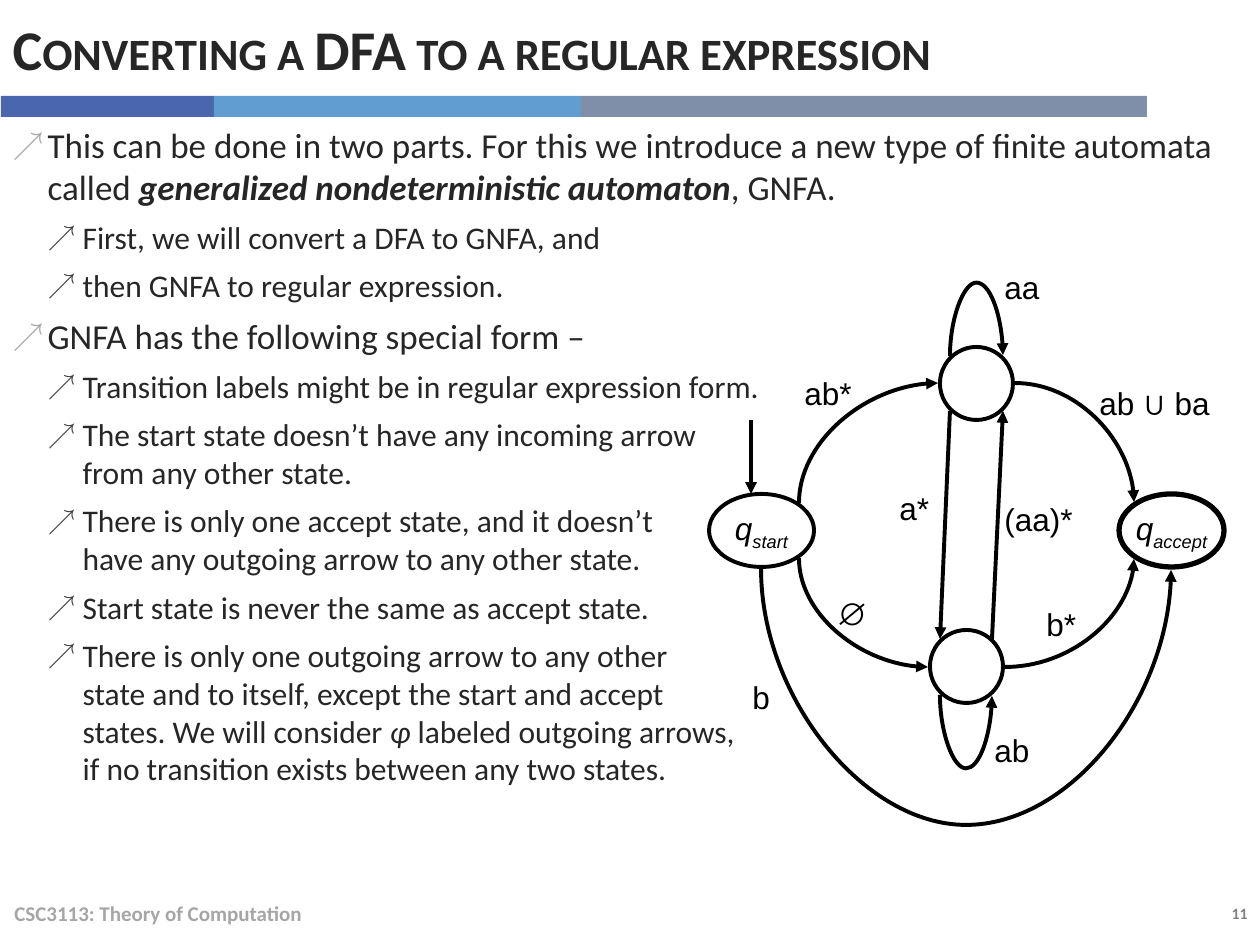
from dataclasses import dataclass

from lxml import etree
from pptx import Presentation
from pptx.dml.color import RGBColor
from pptx.enum.shapes import MSO_CONNECTOR, MSO_SHAPE
from pptx.enum.text import MSO_ANCHOR, MSO_AUTO_SIZE, PP_ALIGN
from pptx.oxml.ns import qn
from pptx.util import Emu, Pt

RECT, OVAL = MSO_SHAPE.RECTANGLE, MSO_SHAPE.OVAL
STRAIGHT, CURVE = MSO_CONNECTOR.STRAIGHT, MSO_CONNECTOR.CURVE
LEFT, CENTER, RIGHT = PP_ALIGN.LEFT, PP_ALIGN.CENTER, PP_ALIGN.RIGHT
TOP, MIDDLE = MSO_ANCHOR.TOP, MSO_ANCHOR.MIDDLE


@dataclass(frozen=True)
class Theme:
    body_font: str = "Calibri"
    diagram_font: str = "Arial"
    text: str = "262626"
    ink: str = "000000"
    footer: str = "A6A6A6"
    number: str = "808080"
    bars: tuple = ("4A66AC", "629DD1", "7F8FA9")
    bullets: tuple = ("A6A6A6", "404040")
    list_sizes: tuple = (20, 18)
    title_size: int = 32
    label_size: int = 18
    footer_size: int = 12
    number_size: int = 9
    line: float = 2.25
    accept_line: float = 3


def px(n):
    return Emu(round(n * 914400 / 126))


def add(parent, tag, **attrs):
    return etree.SubElement(parent, qn(tag), attrs)


class SlideBuilder:
    def __init__(self, prs, theme):
        self.theme = theme
        self.slide = prs.slides.add_slide(prs.slide_layouts[1])
        self.shapes = self.slide.shapes

    def style(self, p, size, color, font, bold=False, italic=False):
        for r in p.runs:
            f = r.font
            f.size, f.name, f.bold, f.italic = Pt(size), font, bold, italic
            f.color.rgb = RGBColor.from_string(color)

    def place(self, sp, box, anchor):
        sp.left, sp.top, sp.width, sp.height = map(px, box)
        tf = sp.text_frame
        tf.word_wrap, tf.auto_size = True, MSO_AUTO_SIZE.NONE
        tf.vertical_anchor = anchor
        return tf

    def title(self, text, box):
        t = self.theme
        tf = self.place(self.shapes.title, box, MIDDLE)
        tf.text = text
        p = tf.paragraphs[0]
        p.alignment = LEFT
        self.style(p, t.title_size, t.text, t.body_font, bold=True)
        p.runs[0].font._element.set("cap", "small")

    def bullets(self, items, box):
        """Each item is (level, text); *word* is italic and **word** bold italic."""
        t = self.theme
        tf = self.place(self.slide.placeholders[1], box, TOP)
        for i, (level, parts) in enumerate(items):
            p = tf.add_paragraph() if i else tf.paragraphs[0]
            p.level, p.space_before = level, Pt(6)
            pPr = p._p.get_or_add_pPr()
            pPr.set("marL", str(px(35 * (level + 1))))
            pPr.set("indent", str(-px(35)))
            add(add(pPr, "a:buClr"), "a:srgbClr", val=t.bullets[level])
            add(pPr, "a:buSzPct", val="90000")
            add(pPr, "a:buFont", typeface=t.diagram_font)
            add(pPr, "a:buChar", char="↗")
            p.text = "".join(parts).replace("\n", "\v")
            self.style(p, t.list_sizes[level], t.text, t.body_font)
            # The second of three parts is the emphasised one
            if len(parts) == 3:
                self.emphasise(p, parts, bold=level == 0)

    def emphasise(self, p, parts, bold):
        before, marked, after = parts
        p.text = before.replace("\n", "\v")
        first = len(p.runs)
        p.add_run().text = marked
        for i, line in enumerate(after.split("\n")):
            if i:
                p.add_line_break()
            p.add_run().text = line
        t = self.theme
        self.style(p, t.list_sizes[p.level], t.text, t.body_font)
        p.runs[first].font.italic = True
        p.runs[first].font.bold = bold

    def text(self, text, box, size, color, font, bold=False, align=LEFT, anchor=TOP):
        tf = self.place(self.shapes.add_textbox(0, 0, 0, 0), box, anchor)
        tf.text = text
        p = tf.paragraphs[0]
        p.alignment = align
        self.style(p, size, color, font, bold)

    def label(self, text, x, y, w=73):
        t = self.theme
        self.text(text, (x, y, w, 50), t.label_size, t.ink, t.diagram_font)

    def bar(self, x, y, w, h, color):
        sp = self.shapes.add_shape(RECT, *map(px, (x, y, w, h)))
        sp.shadow.inherit = False
        sp.fill.solid()
        sp.fill.fore_color.rgb = RGBColor.from_string(color)
        sp.line.fill.background()

    def state(self, x, y, w, name="", line=None):
        t = self.theme
        sp = self.shapes.add_shape(OVAL, *map(px, (x, y, w, 73)))
        sp.shadow.inherit = False
        sp.fill.background()
        sp.line.color.rgb = RGBColor.from_string(t.ink)
        sp.line.width = Pt(line or t.line)
        if name:
            tf = sp.text_frame
            tf.word_wrap, tf.vertical_anchor = False, MIDDLE
            p = tf.paragraphs[0]
            p.alignment = CENTER
            for part in ("q", name):
                p.add_run().text = part
            self.style(p, t.label_size, t.ink, t.diagram_font, italic=True)
            p.runs[1].font._element.set("baseline", "-25000")

    def arrow(self, x1, y1, x2, y2, kind=STRAIGHT):
        c = self.shapes.add_connector(kind, *map(px, (x1, y1, x2, y2)))
        c.line.color.rgb = RGBColor.from_string(self.theme.ink)
        c.line.width = Pt(self.theme.line)
        add(c.line._get_or_add_ln(), "a:tailEnd", type="triangle")
        add(c._element.spPr, "a:effectLst")
        return c

    def bend(self, x1, y1, x2, y2, upright=False):
        """Quarter turn that leaves sideways, or vertically when upright."""
        c = self.arrow(x1, y1, x2, y2, CURVE)
        c._element.spPr.find(qn("a:prstGeom")).set("prst", "curvedConnector2")
        if upright:
            self.turn(c, x1, y1, x2, y2, down=y2 > y1)

    def loop(self, x1, x2, y, depth):
        """Curve from x1 to x2 that swings down by depth, or up if negative."""
        step = 1 if depth > 0 else -1
        c = self.arrow(x1, y, x2, y + step, CURVE)
        self.turn(c, x1, y, x2, y + step, down=depth > 0)
        guides = c._element.spPr.find(qn("a:prstGeom")).get_or_add_avLst()
        add(guides, "a:gd", name="adj1", fmla=f"val {abs(depth) * 100000}")

    def turn(self, c, x1, y1, x2, y2, down):
        w, h = abs(y2 - y1), abs(x2 - x1)
        c.left, c.top = px((x1 + x2 - w) / 2), px((y1 + y2 - h) / 2)
        c.width, c.height = px(w), px(h)
        xfrm = c._element.spPr.find(qn("a:xfrm"))
        xfrm.set("rot", "16200000")
        xfrm.set("flipH", "1" if down else "0")
        xfrm.set("flipV", "0")


def main():
    prs = Presentation()
    prs.slide_width, prs.slide_height = px(1260), px(945)
    t = Theme()
    s = SlideBuilder(prs, t)

    # Title, colour band and footer
    s.title("Converting a DFA to a regular expression", (0, 0, 1147, 96))
    x = 1
    for width, color in zip((213, 367, 566), t.bars):
        s.bar(x, 96, width, 21, color)
        x += width
    s.text("CSC3113: Theory of Computation", (2, 888, 844, 50), t.footer_size,
           t.footer, t.body_font, bold=True, anchor=MIDDLE)
    s.text("11", (1100, 898, 160, 32), t.number_size, t.number, t.body_font,
           bold=True, align=RIGHT)

    # Explanation
    s.bullets([
        (0, ["This can be done in two parts. For this we introduce a new type of finite automata called ",
             "generalized nondeterministic automaton", ", GNFA."]),
        (1, ["First, we will convert a DFA to GNFA, and"]),
        (1, ["then GNFA to regular expression."]),
        (0, ["GNFA has the following special form –"]),
        (1, ["Transition labels might be in regular expression form."]),
        (1, ["The start state doesn’t have any incoming arrow \nfrom any other state."]),
        (1, ["There is only one accept state, and it doesn’t \nhave any outgoing arrow to any other state."]),
        (1, ["Start state is never the same as accept state."]),
        (1, ["There is only one outgoing arrow to any other \nstate and to itself, except the start and accept \nstates. We will consider ",
             "φ ", "labeled outgoing arrows, \nif no transition exists between any two states."]),
    ], (0, 117, 1259, 770))

    # States
    s.state(940, 347, 73)
    s.state(930, 630, 73)
    s.state(709, 494, 105, "start")
    s.state(1119, 494, 105, "accept", t.accept_line)

    # Transitions
    s.bend(799, 503, 938, 383, upright=True)
    s.bend(799, 558, 928, 667, upright=True)
    s.bend(1015, 383, 1134, 502)
    s.bend(1005, 667, 1134, 559)
    s.loop(761, 1171, 569, 258)
    s.loop(940, 992, 695, 74)
    s.loop(950, 1003, 356, -74)
    s.arrow(950, 411, 940, 639)
    s.arrow(992, 639, 1003, 411)
    s.arrow(751, 420, 751, 494)

    # Transition labels
    for text, x, y in (("ab*", 792, 368), ("a*", 887, 483), ("∅", 824, 588),
                       ("b*", 1034, 599), ("aa", 992, 262), ("ab", 982, 725),
                       ("b", 740, 672)):
        s.label(text, x, y)
    s.label("(aa)*", 992, 494, 95)
    s.label("ab ∪ ba", 1087, 378, 158)

    prs.save("out.pptx")


if __name__ == "__main__":
    main()
